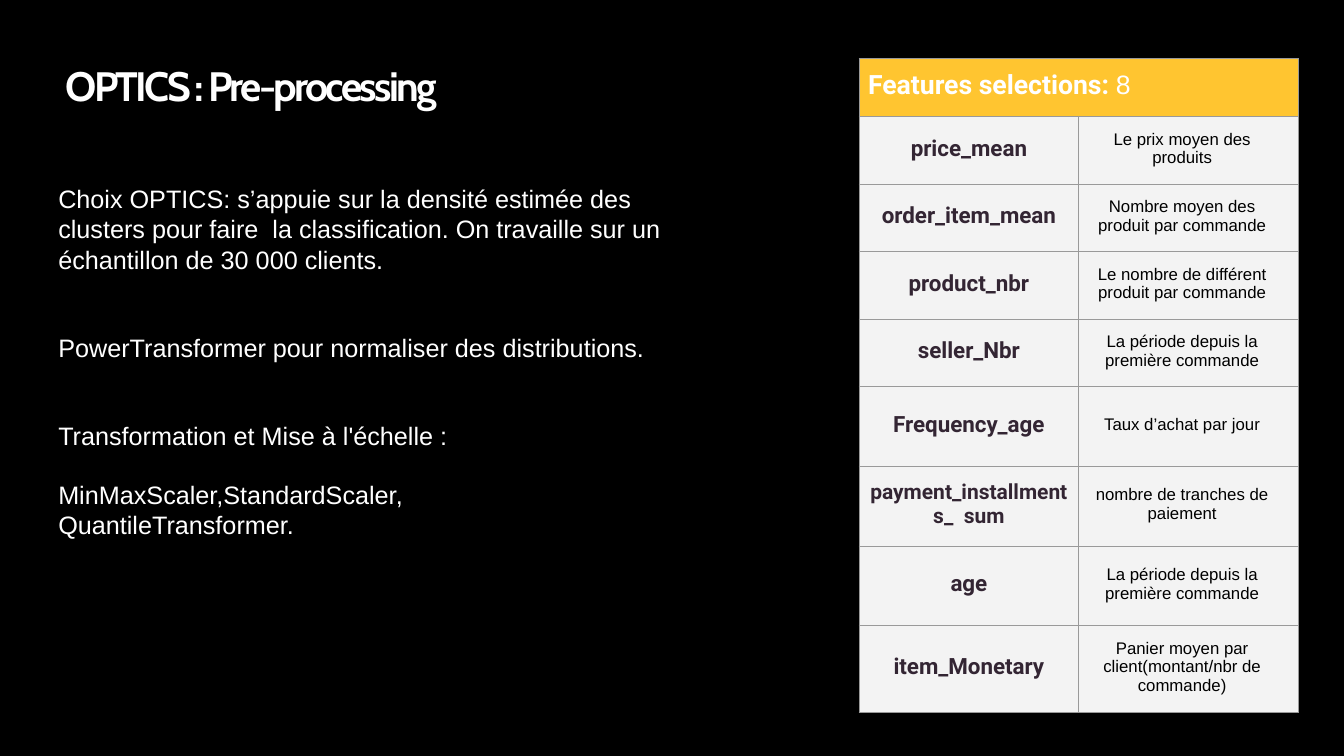
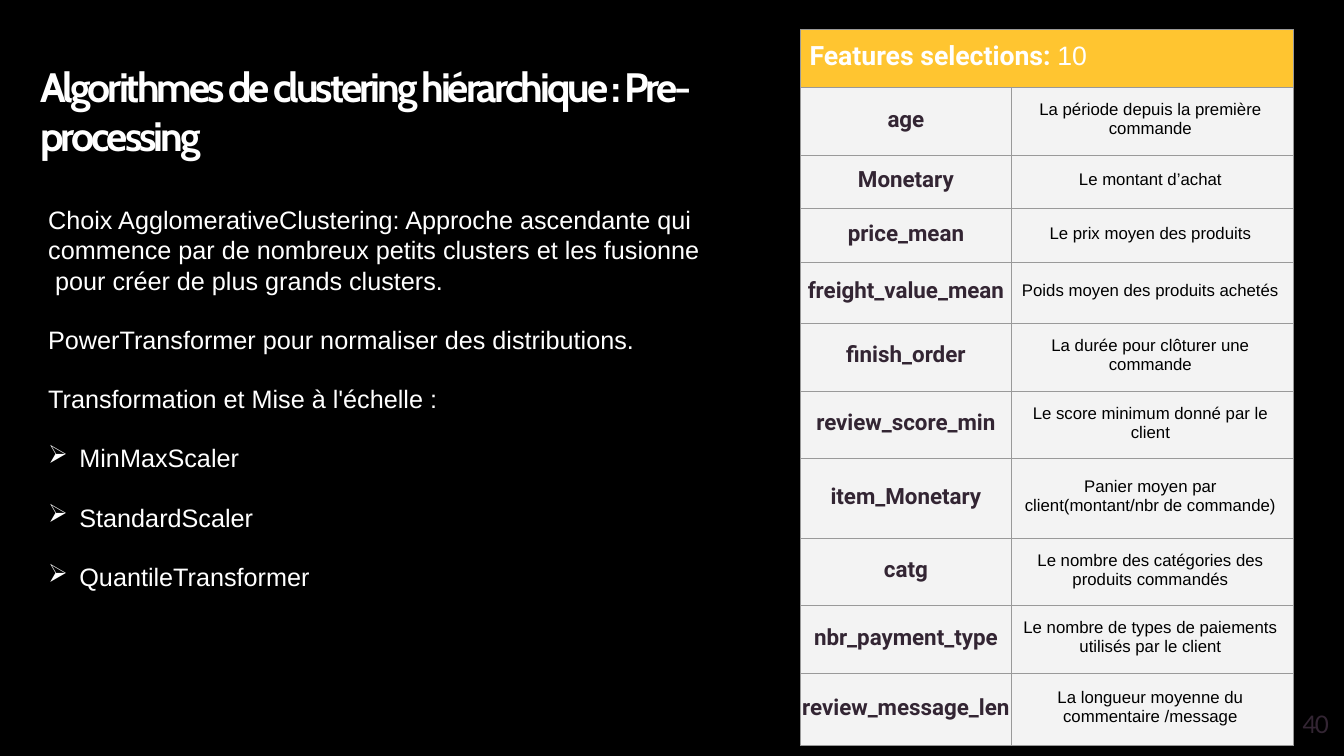
import pptx
import pptx.dml.color
import pptx.enum.text
import pptx.oxml
import pptx.oxml.ns
import pptx.util
from pptx.util import Inches

RGBColor = pptx.dml.color.RGBColor
PP_ALIGN = pptx.enum.text.PP_ALIGN
MSO_ANCHOR = pptx.enum.text.MSO_ANCHOR

BLACK = RGBColor(0x00, 0x00, 0x00)
WHITE = RGBColor(0xFF, 0xFF, 0xFF)
YELLOW = RGBColor(0xFF, 0xC5, 0x30)
PLUM = RGBColor(0x33, 0x25, 0x33)
LIGHT_GREY = RGBColor(0xF3, 0xF3, 0xF3)
BORDER_GREY = RGBColor(0x99, 0x99, 0x99)

TITLE_FONT, NAME_FONT, BODY_FONT, NUMBER_FONT = "Cabin", "Roboto", "Arial", "Lato"
BODY_LINE = 20.7  # height of one line of 18 pt body text, in points


def style(r, font, size, color, bold=False, spacing=0):
    r.font.name = font
    r.font.size = pptx.util.Pt(size)
    r.font.color.rgb = color
    r.font.bold = bold
    if spacing:
        r._r.get_or_add_rPr().set("spc", str(round(spacing * 100)))


def add_xml(parent, xml):
    ns = pptx.oxml.ns.nsdecls("a")
    parent.append(pptx.oxml.parse_xml(xml.replace(">", f" {ns}>", 1)))


def add_text_frame(s, box):
    tf = s.shapes.add_textbox(*map(Inches, box)).text_frame
    tf.word_wrap = True
    return tf


def no_margins(tf):
    tf.margin_left = tf.margin_top = tf.margin_right = tf.margin_bottom = 0


def new_slide(prs):
    s = prs.slides.add_slide(prs.slide_layouts[6])
    s.background.fill.solid()
    s.background.fill.fore_color.rgb = BLACK
    return s


def add_title(s, box, text, spacing):
    tf = add_text_frame(s, box)
    no_margins(tf)
    tf.margin_left = tf.margin_top = Inches(0.02)
    p = tf.paragraphs[0]
    p.text = text
    p.line_spacing = pptx.util.Pt(35.1)
    style(p.runs[0], TITLE_FONT, 29.3, WHITE, True, spacing)


def add_body(s, box, items):
    """items: (text, blank lines before, bulleted)"""
    tf = add_text_frame(s, box)
    for i, (text, gap, bulleted) in enumerate(items):
        p = tf.add_paragraph() if i else tf.paragraphs[0]
        p.text = text
        if gap:
            p.space_before = pptx.util.Pt(gap * BODY_LINE)
        if bulleted:
            pPr = p._p.get_or_add_pPr()
            indent = Inches(0.31)
            pPr.set("marL", str(indent))
            pPr.set("indent", str(-indent))
            add_xml(pPr, '<a:buChar char="➢"></a:buChar>')
        style(p.runs[0], BODY_FONT, 18, WHITE)


def add_page_number(s, box, text):
    tf = add_text_frame(s, box)
    no_margins(tf)
    tf.margin_left = Inches(0.06)
    p = tf.paragraphs[0]
    p.text = text
    style(p.runs[0], NUMBER_FONT, 17.3, PLUM, spacing=-1.2)


def format_cell(cell, fill, left, right):
    cell.margin_top = 0
    cell.margin_bottom = Inches(0.04)
    cell.margin_left, cell.margin_right = Inches(left), Inches(right)
    cell.vertical_anchor = MSO_ANCHOR.MIDDLE
    # Borders come before the fill in the cell properties
    for side in "LRTB":
        add_xml(cell._tc.get_or_add_tcPr(),
                f'<a:ln{side} w="9525"><a:solidFill><a:srgbClr val="{BORDER_GREY}"/>'
                f'</a:solidFill></a:ln{side}>')
    cell.fill.solid()
    cell.fill.fore_color.rgb = fill


def add_features(s, left, top, widths, header_height, features, name_margin, text_margins):
    """features: (name, description, row height)"""
    heights = [header_height] + [height for _, _, height in features]
    table = s.shapes.add_table(
        len(heights), 2, Inches(left), Inches(top),
        Inches(sum(widths)), Inches(sum(heights))).table
    table.first_row = table.horz_banding = False
    for column, width in zip(table.columns, widths):
        column.width = Inches(width)
    for row, height in zip(table.rows, heights):
        row.height = Inches(height)

    # Header across both columns
    for column in range(2):
        format_cell(table.cell(0, column), YELLOW, 0.09, 0)
    header = table.cell(0, 0)
    header.merge(table.cell(0, 1))
    p = header.text_frame.paragraphs[0]
    for text, font, bold in (("Features selections: ", NAME_FONT, True),
                             (str(len(features)), BODY_FONT, False)):
        r = p.add_run()
        r.text = text
        style(r, font, 19, WHITE, bold)

    # One row per feature
    for i, (name, description, _) in enumerate(features, 1):
        name_size = 15 if len(name) > 20 else 16
        for column, text, margins, look in (
                (0, name, (name_margin, name_margin), (NAME_FONT, name_size, PLUM, True)),
                (1, description, text_margins, (BODY_FONT, 12, BLACK))):
            cell = table.cell(i, column)
            format_cell(cell, LIGHT_GREY, *margins)
            p = cell.text_frame.paragraphs[0]
            p.text = text
            p.alignment = PP_ALIGN.CENTER
            for r in p.runs:
                style(r, *look)


def optics_slide(prs):
    s = new_slide(prs)
    add_title(s, (0.63, 0.58, 4, 0.51), "OPTICS : Pre-processing", -1.9)
    add_features(s, 8.52, 0.58, (2.18, 2.18), 0.58, [
        ("price_mean", "Le prix moyen des produits", 0.67),
        ("order_item_mean", "Nombre moyen des produit par commande", 0.67),
        ("product_nbr", "Le nombre de différent produit par commande", 0.67),
        ("seller_Nbr", "La période depuis la première commande", 0.67),
        ("Frequency_age", "Taux d’achat par jour", 0.79),
        ("payment_installments_  sum", "nombre de tranches de paiement", 0.79),
        ("age", "La période depuis la première commande", 0.79),
        ("item_Monetary", "Panier moyen par client(montant/nbr de commande)", 0.86),
    ], 0.08, (0.15, 0.28))
    add_body(s, (0.48, 1.77, 6.67, 3.74), [
        ("Choix OPTICS: s’appuie sur la densité estimée des clusters pour faire  la "
         "classiﬁcation. On travaille sur un échantillon de 30 000 clients.", 0, False),
        ("PowerTransformer pour normaliser des distributions.", 2, False),
        ("Transformation et Mise à l'échelle :", 2, False),
        ("MinMaxScaler,StandardScaler,", 1, False),
        ("QuantileTransformer.", 0, False),
    ])


def hierarchical_slide(prs):
    s = new_slide(prs)
    add_title(s, (0.38, 0.59, 7.02, 1),
              "Algorithmes de clustering hiérarchique : Pre-processing", -2.1)
    add_page_number(s, (12.86, 7.04, 0.46, 0.29), "40")
    add_features(s, 7.94, 0.29, (2.09, 2.8), 0.58, [
        ("age", "La période depuis la première commande", 0.67),
        ("Monetary", "Le montant d’achat", 0.53),
        ("price_mean", "Le prix moyen des produits", 0.53),
        ("freight_value_mean", "Poids moyen des produits achetés", 0.61),
        ("ﬁnish_order", "La durée pour clôturer une commande", 0.67),
        ("review_score_min", "Le score minimum donné par le client", 0.67),
        ("item_Monetary", "Panier moyen par\vclient(montant/nbr de commande)", 0.79),
        ("catg", "Le nombre des catégories des produits commandés", 0.67),
        ("nbr_payment_type", "Le nombre de types de paiements utilisés par le client", 0.67),
        ("review_message_len", "La longueur moyenne du commentaire /message", 0.72),
    ], 0, (0.08, 0.12))
    add_body(s, (0.38, 1.98, 6.67, 4.04), [
        ("Choix AgglomerativeClustering: Approche ascendante qui commence par de nombreux "
         "petits clusters et les fusionne  pour créer de plus grands clusters.", 0, False),
        ("PowerTransformer pour normaliser des distributions.", 1, False),
        ("Transformation et Mise à l'échelle :", 1, False),
        ("MinMaxScaler", 1, True),
        ("StandardScaler", 1, True),
        ("QuantileTransformer", 1, True),
    ])


def main():
    prs = pptx.Presentation()
    prs.slide_width, prs.slide_height = Inches(13.33), Inches(7.5)
    optics_slide(prs)
    hierarchical_slide(prs)
    prs.save("out.pptx")


if __name__ == "__main__":
    main()
